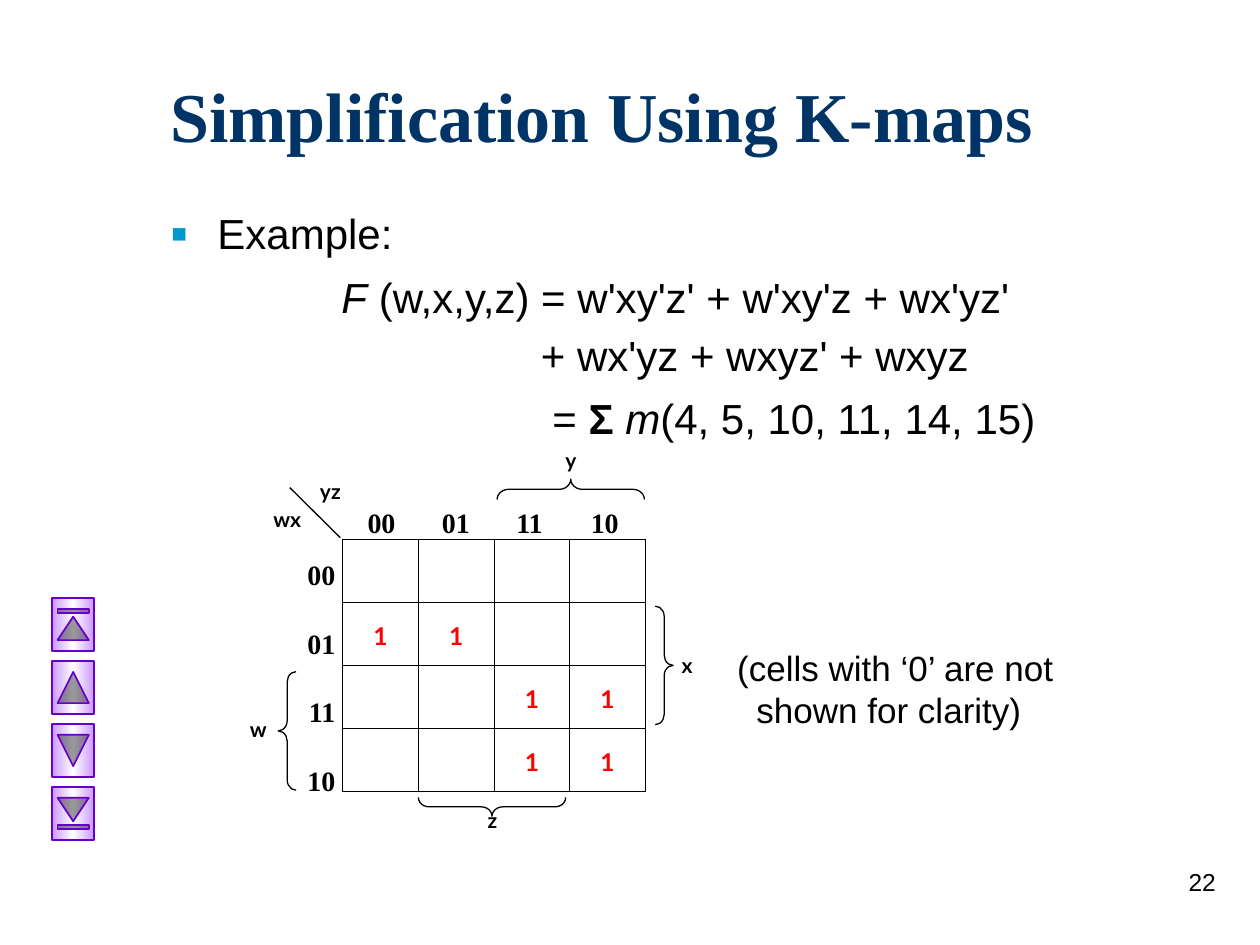
from copy import deepcopy
from dataclasses import dataclass

from lxml import etree
from pptx import Presentation
from pptx.dml.color import RGBColor
from pptx.enum.shapes import MSO_CONNECTOR, MSO_SHAPE
from pptx.enum.text import MSO_ANCHOR, MSO_AUTO_SIZE, PP_ALIGN
from pptx.oxml.ns import qn
from pptx.util import Cm, Pt

LEFT, CENTER, RIGHT = PP_ALIGN.LEFT, PP_ALIGN.CENTER, PP_ALIGN.RIGHT
TOP, MIDDLE = MSO_ANCHOR.TOP, MSO_ANCHOR.MIDDLE
STRAIGHT = MSO_CONNECTOR.STRAIGHT
LEFT_BRACE, RIGHT_BRACE = MSO_SHAPE.LEFT_BRACE, MSO_SHAPE.RIGHT_BRACE
BUTTONS = (
    MSO_SHAPE.ACTION_BUTTON_BEGINNING,
    MSO_SHAPE.ACTION_BUTTON_BACK_OR_PREVIOUS,
    MSO_SHAPE.ACTION_BUTTON_FORWARD_OR_NEXT,
    MSO_SHAPE.ACTION_BUTTON_END,
)
GRAY_CODE = (0, 1, 3, 2)
MINTERMS = {4, 5, 10, 11, 14, 15}


@dataclass(frozen=True)
class Style:
    font: str
    size: float
    color: str = "000000"
    bold: bool = False


@dataclass(frozen=True)
class Theme:
    title: Style = Style("Times New Roman", 40, "003366", True)
    body: Style = Style("Arial", 24)
    note: Style = Style("Arial", 20)
    number: Style = Style("Arial", 14)
    code: Style = Style("Times New Roman", 16, bold=True)
    variable: Style = Style("Lato", 12, bold=True)
    one: Style = Style("Lato", 14, "FF0000", True)
    ink: str = "000000"
    bullet: str = "0099CC"
    button: str = "CC99FF"
    button_glow: str = "FFFFFF"
    button_line: str = "6600CC"
    line_width: float = 0.75


@dataclass(frozen=True)
class Box:
    left: float
    top: float
    width: float
    height: float

    def inner(self, left, top, width, height):
        return Box(self.left + left, self.top + top, width, height)

    def lengths(self):
        return Cm(self.left), Cm(self.top), Cm(self.width), Cm(self.height)


THEME = Theme()


def add_span(para, text, style, bold=None, italic=False):
    span = para.add_run()
    span.text = text
    span.font.name = style.font
    span.font.size = Pt(style.size)
    span.font.color.rgb = RGBColor.from_string(style.color)
    span.font.bold = style.bold if bold is None else bold
    span.font.italic = italic


def add_element(parent, tag, **attributes):
    return etree.SubElement(parent, qn(tag), attributes)


def set_indent(para, margin, first=0):
    properties = para._p.get_or_add_pPr()
    properties.set("marL", str(Cm(margin)))
    properties.set("indent", str(Cm(first)))
    return properties


def next_para(frame, index):
    return frame.add_paragraph() if index else frame.paragraphs[0]


def add_text(page, box, lines, style, align=LEFT, gap=0):
    frame = page.shapes.add_textbox(*box.lengths()).text_frame
    frame.word_wrap = True
    for index, line in enumerate(lines):
        para = next_para(frame, index)
        para.alignment = align
        para.space_after = Pt(gap)
        add_span(para, line, style)
    return frame


def place(holder, box, anchor):
    holder.left, holder.top, holder.width, holder.height = box.lengths()
    frame = holder.text_frame
    frame.auto_size = MSO_AUTO_SIZE.NONE
    frame.vertical_anchor = anchor
    return frame


def add_title(page, box):
    para = place(page.shapes.title, box, MIDDLE).paragraphs[0]
    para.alignment = LEFT
    add_span(para, "Simplification Using K-maps", THEME.title)


def add_formula(page, box):
    frame = place(page.placeholders[1], box, TOP)
    rows = (
        (0.95, 6, [("Example:", "")]),
        (3.45, 6, [("F", "i"), (" (w,x,y,z) = w'xy'z' + w'xy'z + wx'yz'", "")]),
        (7.47, 3, [("+ wx'yz + wxyz' + wxyz", "")]),
        (7.7, 6, [("= ", ""), ("Σ ", "b"), ("m", "i"), ("(4, 5, 10, 11, 14, 15)", "")]),
    )
    for index, (margin, before, spans) in enumerate(rows):
        para = next_para(frame, index)
        para.space_before = Pt(before)
        para.line_spacing = 1.05
        properties = set_indent(para, margin, 0 if index else -margin)
        if index:
            add_element(properties, "a:buNone")
        else:
            color = add_element(properties, "a:buClr")
            add_element(color, "a:srgbClr", val=THEME.bullet)
            add_element(properties, "a:buSzPct", val="120000")
            add_element(properties, "a:buFont", typeface="Arial")
            add_element(properties, "a:buChar", char="▪")
        for text, mark in spans:
            add_span(para, text, THEME.body, mark == "b", mark == "i")


def set_borders(cell):
    properties = cell._tc.get_or_add_tcPr()
    for side in ("a:lnL", "a:lnR", "a:lnT", "a:lnB"):
        line = add_element(properties, side, w=str(Pt(THEME.line_width)))
        fill = add_element(line, "a:solidFill")
        add_element(fill, "a:srgbClr", val=THEME.ink)


def add_grid(page, box):
    count = len(GRAY_CODE)
    table = page.shapes.add_table(count, count, *box.lengths()).table
    table.first_row = table.horz_banding = False
    for row, high in enumerate(GRAY_CODE):
        for column, low in enumerate(GRAY_CODE):
            cell = table.cell(row, column)
            set_borders(cell)
            cell.fill.background()
            cell.margin_top, cell.margin_bottom = Cm(0.38), 0
            para = cell.text_frame.paragraphs[0]
            para.alignment = CENTER
            para.font.size = Pt(THEME.one.size)
            if 4 * high + low in MINTERMS:
                add_span(para, "1", THEME.one)


def add_brace(page, box, kind, rotation):
    brace = page.shapes.add_shape(kind, *box.lengths())
    brace.shadow.inherit = False
    brace.rotation = rotation
    brace.adjustments[0] = 0.57
    brace.fill.background()
    brace.line.color.rgb = RGBColor.from_string(THEME.ink)
    brace.line.width = Pt(THEME.line_width)


def add_map(page, box):
    add_grid(page, box)
    codes = [f"{code:02b}" for code in GRAY_CODE]
    add_text(page, box.inner(-1.02, 0.25, 1.12, 5.26), codes, THEME.code, RIGHT, 20)
    heads = add_text(page, box.inner(0.25, -0.81, 5.69, 1.02), ["\t".join(codes)], THEME.code)
    tabs = add_element(heads.paragraphs[0]._p.get_or_add_pPr(), "a:tabLst")
    for stop in range(1, len(codes)):
        add_element(tabs, "a:tab", pos=str(Cm(1.5 * stop)), algn="l")

    corner = box.inner(-1.07, -1.04, 1.02, 1.01)
    diagonal = page.shapes.add_connector(
        STRAIGHT, Cm(corner.left + corner.width), Cm(corner.top + corner.height),
        Cm(corner.left), Cm(corner.top))
    diagonal.line.color.rgb = RGBColor.from_string(THEME.ink)
    diagonal.line.width = Pt(THEME.line_width)
    add_element(diagonal.element.spPr, "a:effectLst")

    variables = (
        ("wx", (-1.78, -0.79, 1.32, 0.91)),
        ("yz", (-0.91, -1.35, 1.32, 0.81)),
        ("w", (-2.26, 3.45, 1.12, 1.02)),
        ("x", (6.38, 2.16, 1.12, 1.02)),
        ("y", (4.04, -1.98, 1.12, 0.81)),
        ("z", (2.46, 5.28, 1.12, 0.76)),
    )
    for name, spot in variables:
        add_text(page, box.inner(*spot), [name], THEME.variable, CENTER)

    braces = (
        (LEFT_BRACE, 0, (-1.3, 2.67, 0.36, 2.39)),
        (RIGHT_BRACE, 0, (6.3, 1.35, 0.36, 2.39)),
        (LEFT_BRACE, 90, (4.39, -2.49, 0.41, 2.97)),
        (LEFT_BRACE, 270, (2.82, 3.91, 0.38, 2.97)),
    )
    for kind, rotation, spot in braces:
        add_brace(page, box.inner(*spot), kind, rotation)


def add_note(page, box):
    lines = ["(cells with ‘0’ are not", "shown for clarity)"]
    frame = add_text(page, box, lines, THEME.note)
    set_indent(frame.paragraphs[1], 0.39)


def add_buttons(page, box):
    for index, kind in enumerate(BUTTONS):
        spot = box.inner(0, 1.27 * index, box.width, 0.84)
        button = page.shapes.add_shape(kind, *spot.lengths())
        button.shadow.inherit = False
        button.rotation = 90
        button.line.color.rgb = RGBColor.from_string(THEME.button_line)
        button.line.width = Pt(1)
        button.fill.gradient()
        button.fill.gradient_angle = 90
        colors = (THEME.button, THEME.button_glow)
        for stop, color, position in zip(button.fill.gradient_stops, colors, (0, 0.5)):
            stop.color.rgb = RGBColor.from_string(color)
            stop.position = position
        first, middle = button.element.xpath(".//a:gs")
        last = deepcopy(first)
        last.set("pos", "100000")
        middle.addnext(last)


def main():
    deck = Presentation()
    deck.slide_width, deck.slide_height = Cm(25.4), Cm(19.05)
    page = deck.slides.add_slide(deck.slide_layouts[1])
    add_title(page, Box(3.18, 1.27, 21.59, 2.06))
    add_formula(page, Box(3.18, 4.01, 21.59, 5.28))
    add_map(page, Box(6.91, 10.87, 6.1, 5.08))
    add_note(page, Box(14.61, 12.9, 7.62, 1.96))
    add_buttons(page, Box(0.94, 12.17, 1.07, 4.65))
    add_text(page, Box(19.48, 17.35, 5.28, 1.27), ["22"], THEME.number, RIGHT)
    deck.save("out.pptx")


if __name__ == "__main__":
    main()
